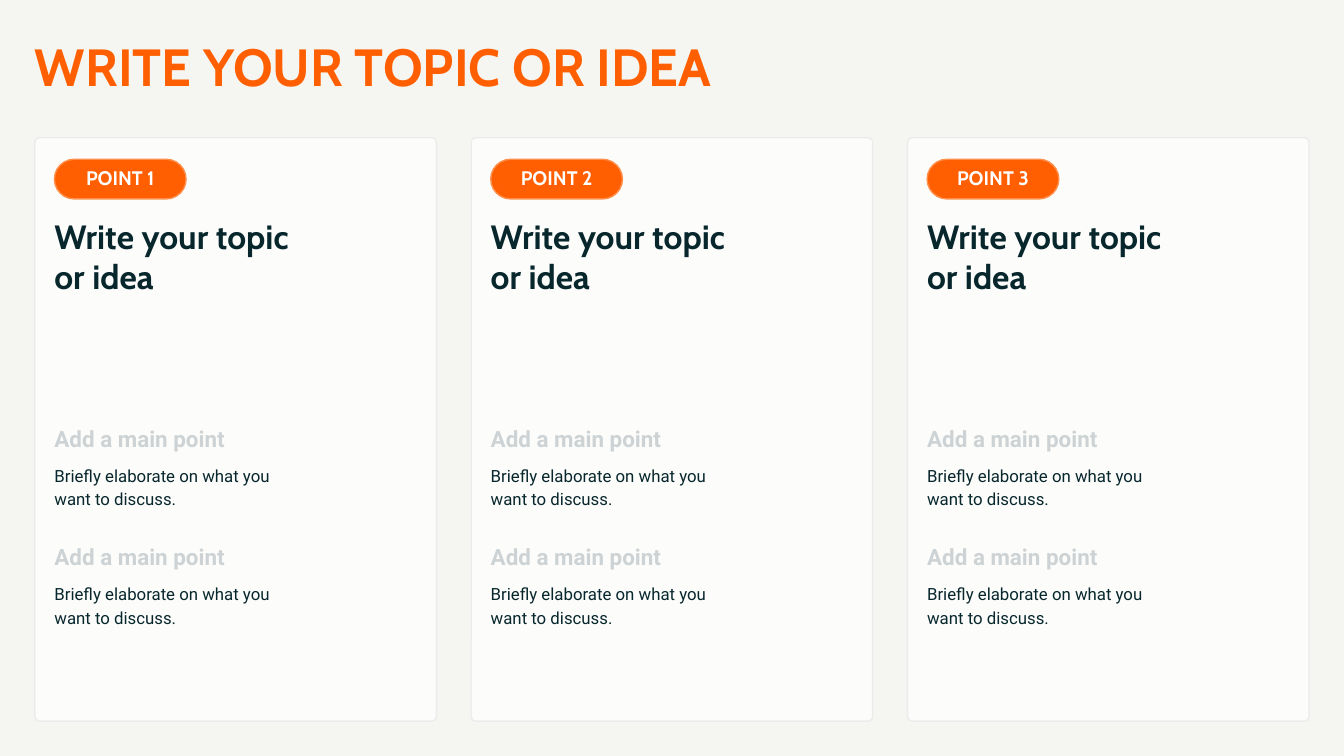
from dataclasses import dataclass

from lxml import etree
from pptx import Presentation
from pptx import util as u
from pptx.dml.color import RGBColor
from pptx.enum import shapes, text
from pptx.oxml import ns


@dataclass(frozen=True)
class TextStyle:
    font: str
    size: int
    leading: float
    color: str
    bold: bool = True


class Theme:
    BACKGROUND = "F5F5F1"
    CARD = "FFFFFF"
    CARD_LINE = "E6E9EA"
    CARD_OPACITY = 70
    PILL = "FF5F00"
    PILL_LINE = "FF8F4C"
    LINE_WIDTH = 1.5

    TITLE = TextStyle("Cabin", 56, 67.2, "FF5F00")
    LABEL = TextStyle("Cabin", 21, 25.2, "FFFFFF")
    HEADING = TextStyle("Cabin", 36, 43.2, "07272D")
    POINT = TextStyle("Roboto", 24, 33.6, "CDD3D5")
    BODY = TextStyle("Roboto", 18, 25.2, "07272D", bold=False)


SLIDE_WIDTH, SLIDE_HEIGHT = 20, 11.25
MARGIN = GAP = 0.52
CARD_COUNT = 3
CARD_WIDTH = (SLIDE_WIDTH - 2 * MARGIN - (CARD_COUNT - 1) * GAP) / CARD_COUNT
CARD_TOP, CARD_HEIGHT = 2.05, 8.68
CARD_RADIUS = 0.07
CARD_PADDING = 0.29
POINT_TOPS = (6.26, 8.02)
POINT_TO_BODY = 0.62

HEADING_LINES = ["Write your topic", "or idea"]
BODY_LINES = ["Briefly elaborate on what you", "want to discuss."]


class SlideBuilder:
    def __init__(self, page, theme):
        self.page = page
        self.theme = theme
        fill = page.background.fill
        fill.solid()
        fill.fore_color.rgb = RGBColor.from_string(theme.BACKGROUND)

    def set_text(self, frame, lines, style, align=text.PP_ALIGN.LEFT,
                 anchor=text.MSO_ANCHOR.TOP, insets=(0, 0, 0, 0)):
        """Fill a text frame, one paragraph per line; insets run left, top, right, bottom."""
        frame.word_wrap = True
        frame.auto_size = text.MSO_AUTO_SIZE.NONE
        frame.vertical_anchor = anchor
        (frame.margin_left, frame.margin_top,
         frame.margin_right, frame.margin_bottom) = map(u.Inches, insets)
        frame.text = "\n".join(lines)
        for para in frame.paragraphs:
            para.alignment = align
            para.line_spacing = u.Pt(style.leading)
            para.space_before = u.Pt(0)
            para.font.name = style.font
            para.font.size = u.Pt(style.size)
            para.font.bold = style.bold
            para.font.color.rgb = RGBColor.from_string(style.color)

    def title(self, line, left, top, width, height):
        box = self.page.shapes.title
        box.left, box.top, box.width, box.height = map(
            u.Inches, (left, top, width, height))
        self.set_text(box.text_frame, [line], self.theme.TITLE)

    def text_box(self, lines, style, left, top, width, height):
        box = self.page.shapes.add_textbox(
            *map(u.Inches, (left, top, width, height)))
        self.set_text(box.text_frame, lines, style)

    def rounded_box(self, left, top, width, height, radius, fill, line):
        box = self.page.shapes.add_shape(
            shapes.MSO_SHAPE.ROUNDED_RECTANGLE,
            *map(u.Inches, (left, top, width, height)))
        box.adjustments[0] = radius / min(width, height)
        box.shadow.inherit = False
        box.fill.solid()
        box.fill.fore_color.rgb = RGBColor.from_string(fill)
        box.line.color.rgb = RGBColor.from_string(line)
        box.line.width = u.Pt(self.theme.LINE_WIDTH)
        return box

    def card(self, left, top, width, height):
        theme = self.theme
        box = self.rounded_box(left, top, width, height, CARD_RADIUS,
                               theme.CARD, theme.CARD_LINE)
        for color in box.element.findall(".//" + ns.qn("a:srgbClr")):
            alpha = etree.SubElement(color, ns.qn("a:alpha"))
            alpha.set("val", str(theme.CARD_OPACITY * 1000))

    def pill(self, label, left, top, width, height):
        theme = self.theme
        box = self.rounded_box(left, top, width, height, height / 2,
                               theme.PILL, theme.PILL_LINE)
        self.set_text(box.text_frame, [label], theme.LABEL,
                      text.PP_ALIGN.CENTER, text.MSO_ANCHOR.MIDDLE,
                      insets=(0.06, 0.06, 0.06, 0.1))


def main():
    deck = Presentation()
    deck.slide_width = u.Inches(SLIDE_WIDTH)
    deck.slide_height = u.Inches(SLIDE_HEIGHT)
    page = deck.slides.add_slide(deck.slide_layouts.get_by_name("Title Only"))
    theme = Theme()
    slide = SlideBuilder(page, theme)

    slide.title("WRITE YOUR TOPIC OR IDEA", MARGIN, 0.51, 10.97, 0.94)
    for index in range(CARD_COUNT):
        card_left = MARGIN + index * (CARD_WIDTH + GAP)
        left = card_left + CARD_PADDING
        slide.card(card_left, CARD_TOP, CARD_WIDTH, CARD_HEIGHT)
        slide.pill(f"POINT {index + 1}", left, 2.37, 1.96, 0.59)
        slide.text_box(HEADING_LINES, theme.HEADING, left, 3.21, 5.4, 1.19)
        for top in POINT_TOPS:
            slide.text_box(["Add a main point"], theme.POINT, left, top, 5.2, 0.43)
            slide.text_box(BODY_LINES, theme.BODY, left, top + POINT_TO_BODY, 5.4, 0.67)

    deck.save("out.pptx")


if __name__ == "__main__":
    main()
